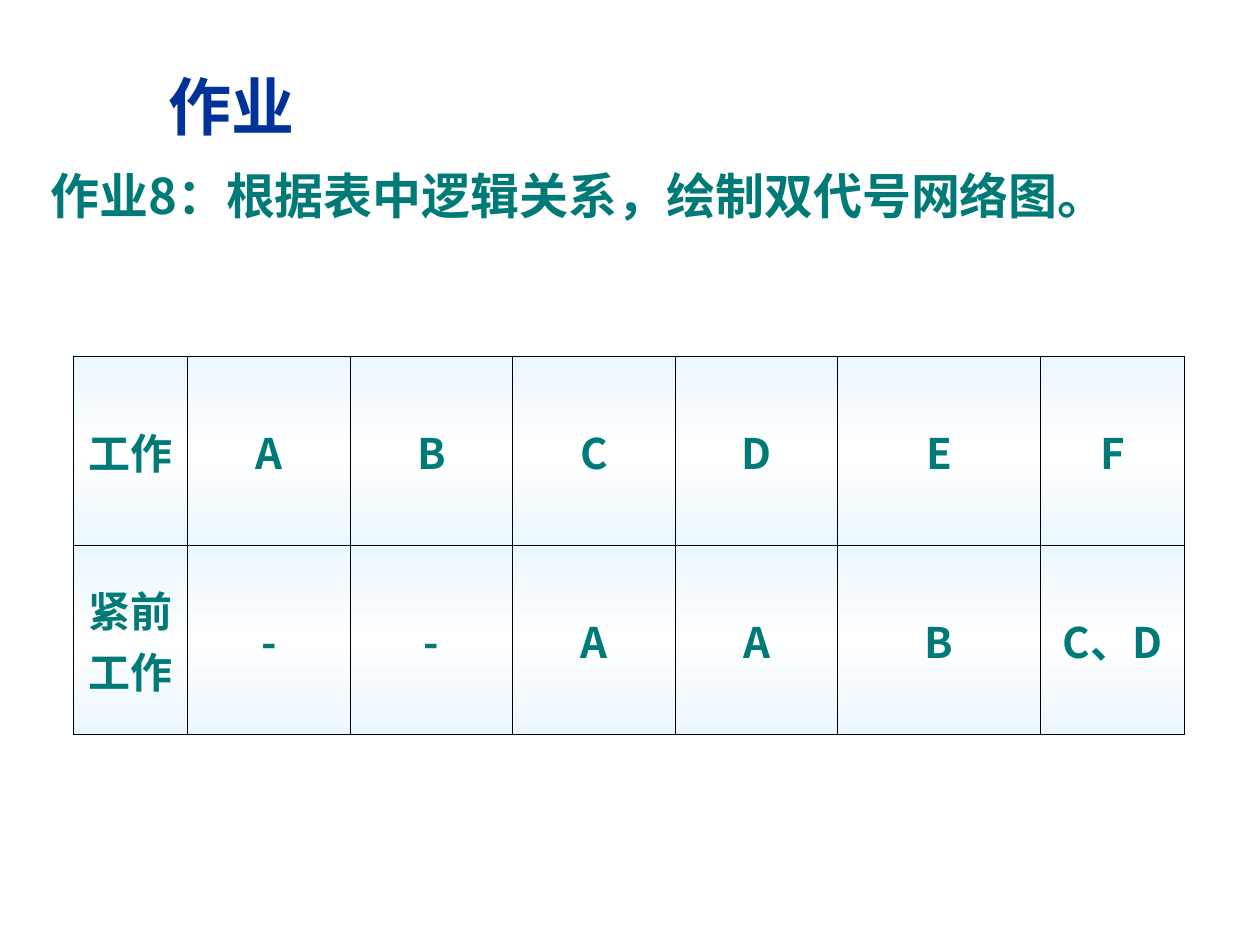
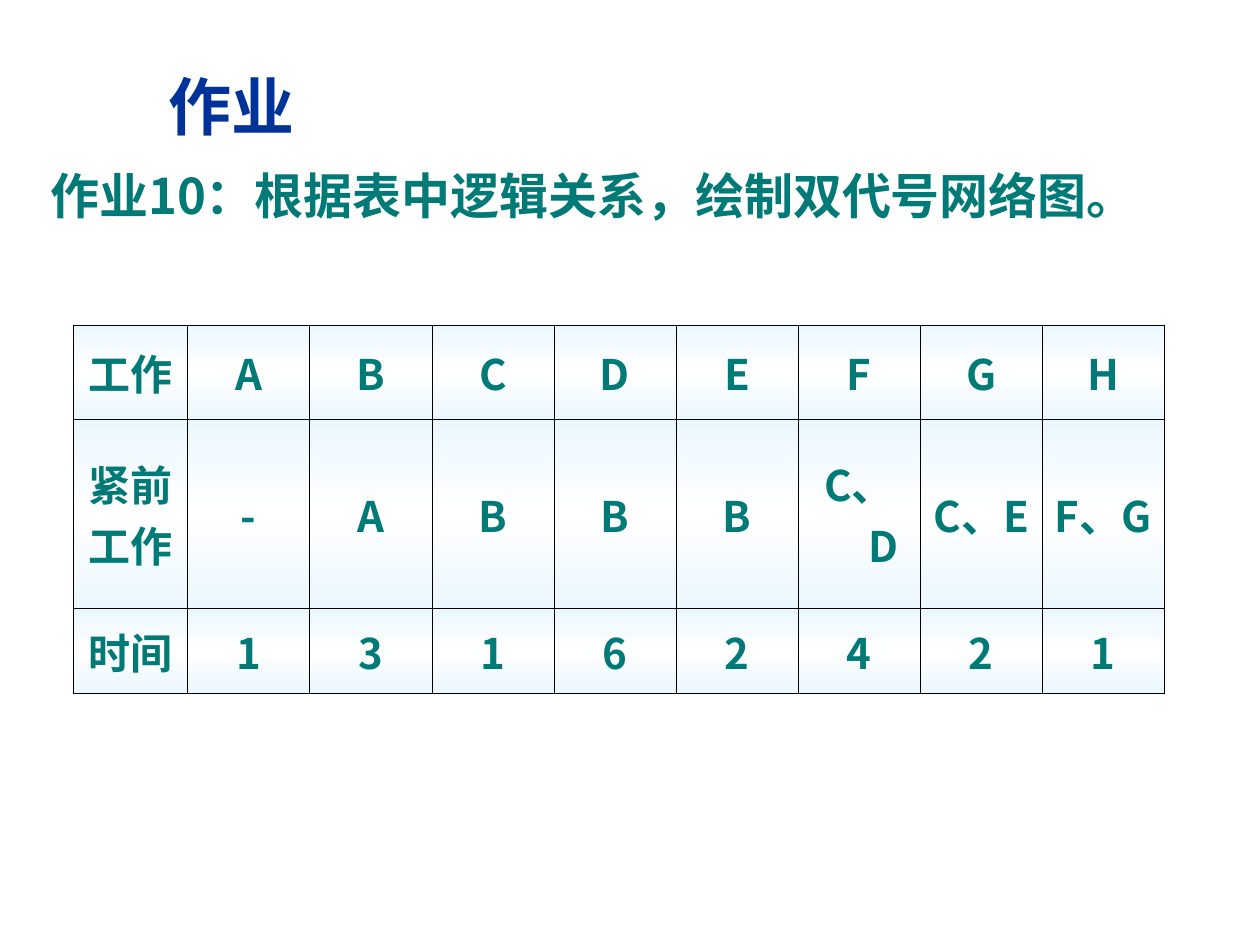
import pptx
import pptx.dml.color
import pptx.enum.text
import pptx.oxml
import pptx.oxml.ns
import pptx.util

NAVY = pptx.dml.color.RGBColor(0x00, 0x33, 0x99)
TEAL = pptx.dml.color.RGBColor(0x00, 0x7A, 0x77)
PALE_BLUE = pptx.dml.color.RGBColor(0xEB, 0xF7, 0xFF)
WHITE = pptx.dml.color.RGBColor(0xFF, 0xFF, 0xFF)
BLACK = pptx.dml.color.RGBColor(0x00, 0x00, 0x00)

CJK_FONT = "Noto Sans CJK SC"
GRID_COLUMNS, GRID_ROWS = 100, 75
CENTER = pptx.enum.text.PP_ALIGN.CENTER
LEFT = pptx.enum.text.PP_ALIGN.LEFT
MIDDLE = pptx.enum.text.MSO_ANCHOR.MIDDLE


def drawing_element(markup):
    tag, rest = markup.split(" ", 1)
    return pptx.oxml.parse_xml(f"{tag} {pptx.oxml.ns.nsdecls('a')} {rest}")


class ExerciseDeck:
    def __init__(self):
        self.deck = pptx.Presentation()
        self.deck.slide_width = pptx.util.Inches(10)
        self.deck.slide_height = pptx.util.Inches(7.5)
        self.page = None

    def across(self, columns):
        return round(self.deck.slide_width * columns / GRID_COLUMNS)

    def down(self, rows):
        return round(self.deck.slide_height * rows / GRID_ROWS)

    def fill_paragraph(self, paragraph, text, size, color, align, font=CJK_FONT, hanging=True):
        paragraph.text = text
        paragraph.alignment = align
        if hanging:
            indent = self.across(3.8)
            properties = paragraph._p.get_or_add_pPr()
            properties.set("marL", str(indent))
            properties.set("indent", str(-indent))
        style = paragraph.font
        style.size = pptx.util.Pt(size)
        style.bold = True
        style.color.rgb = color
        style.name = font
        style._element.append(drawing_element(f'<a:ea typeface="{CJK_FONT}"/>'))

    def add_page(self, title):
        self.page = self.deck.slides.add_slide(self.deck.slide_layouts[5])
        box = self.page.shapes.title
        box.left, box.top = self.across(2.5), self.down(4.2)
        box.width, box.height = self.across(31.7), self.down(8.3)
        frame = box.text_frame
        frame.auto_size = pptx.enum.text.MSO_AUTO_SIZE.NONE
        frame.vertical_anchor = MIDDLE
        self.fill_paragraph(
            frame.paragraphs[0], title, 36, NAVY, CENTER, "Arial", hanging=False)

    def add_task(self, text, columns):
        box = self.page.shapes.add_textbox(
            self.across(2), self.down(13.4), self.across(columns), self.down(6.4))
        frame = box.text_frame
        frame.word_wrap = True
        frame.margin_left = frame.margin_right = self.across(2)
        paragraph = frame.paragraphs[0]
        self.fill_paragraph(paragraph, text, 28, TEAL, LEFT)
        paragraph.line_spacing = 0.85

    def style_cell(self, cell):
        properties = cell._tc.get_or_add_tcPr()
        width = pptx.util.Pt(0.45)
        for side in ("lnL", "lnR", "lnT", "lnB"):
            properties.append(drawing_element(
                f'<a:{side} w="{width}"><a:solidFill><a:srgbClr val="{BLACK}"/>'
                f'</a:solidFill></a:{side}>'))
        stops = "".join(
            f'<a:gs pos="{share * 1000}"><a:srgbClr val="{color}"/></a:gs>'
            for share, color in ((0, PALE_BLUE), (50, WHITE), (100, PALE_BLUE)))
        properties.append(drawing_element(
            f'<a:gradFill rotWithShape="1"><a:gsLst>{stops}</a:gsLst>'
            '<a:lin ang="5400000" scaled="0"/></a:gradFill>'))

    def add_work_table(self, top, widths, heights, rows):
        table = self.page.shapes.add_table(
            len(rows), len(widths), self.across(5.8), self.down(top),
            self.across(sum(widths)), self.down(sum(heights))).table
        table.first_row = table.horz_banding = False
        for column, width in zip(table.columns, widths):
            column.width = self.across(width)
        for row, height, texts in zip(table.rows, heights, rows):
            row.height = self.down(height)
            for cell, text in zip(row.cells, texts):
                cell.vertical_anchor = MIDDLE
                self.style_cell(cell)
                frame = cell.text_frame
                for index, line in enumerate(text.split("\n")):
                    paragraph = frame.add_paragraph() if index else frame.paragraphs[0]
                    self.fill_paragraph(paragraph, line, 24, TEAL, CENTER)


def main():
    exercises = ExerciseDeck()

    exercises.add_page("作业")
    exercises.add_task("作业8：根据表中逻辑关系，绘制双代号网络图。", 89.8)
    exercises.add_work_table(
        28.3, [9.1] + [12.9] * 4 + [16.1, 11.4], [15, 15],
        [["工作", *"ABCDEF"],
         ["紧前\n工作", *"--AAB", "C、D"]])

    exercises.add_page("作业")
    exercises.add_task("作业10：根据表中逻辑关系，绘制双代号网络图。", 91.4)
    exercises.add_work_table(
        25.8, [9.1] + [9.69] * 8, [7.5, 15, 6.7],
        [["工作", *"ABCDEFGH"],
         ["紧前\n工作", *"-ABBB", "C、D", "C、E", "F、G"],
         ["时间", *"13162421"]])

    exercises.deck.save("out.pptx")


if __name__ == "__main__":
    main()
